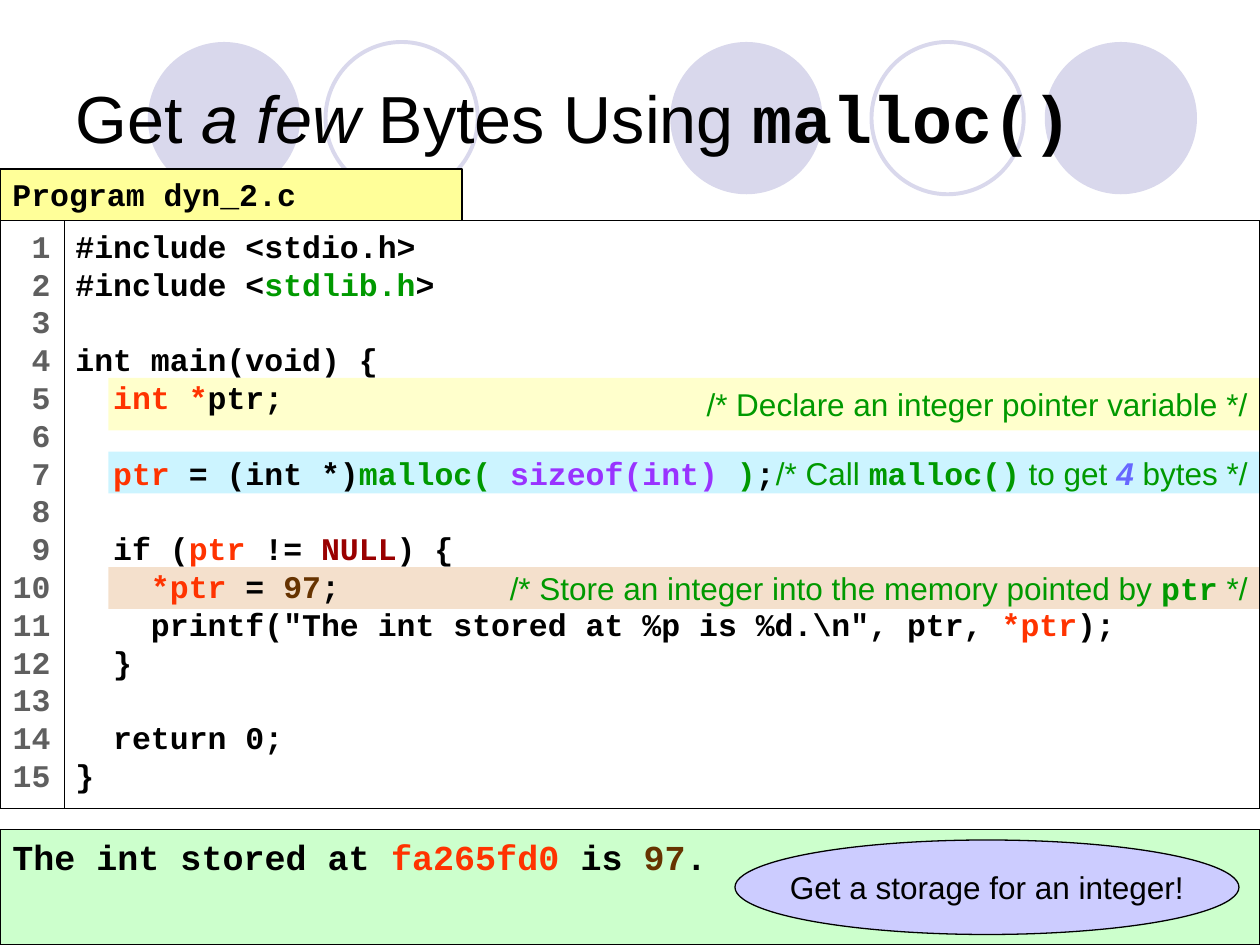
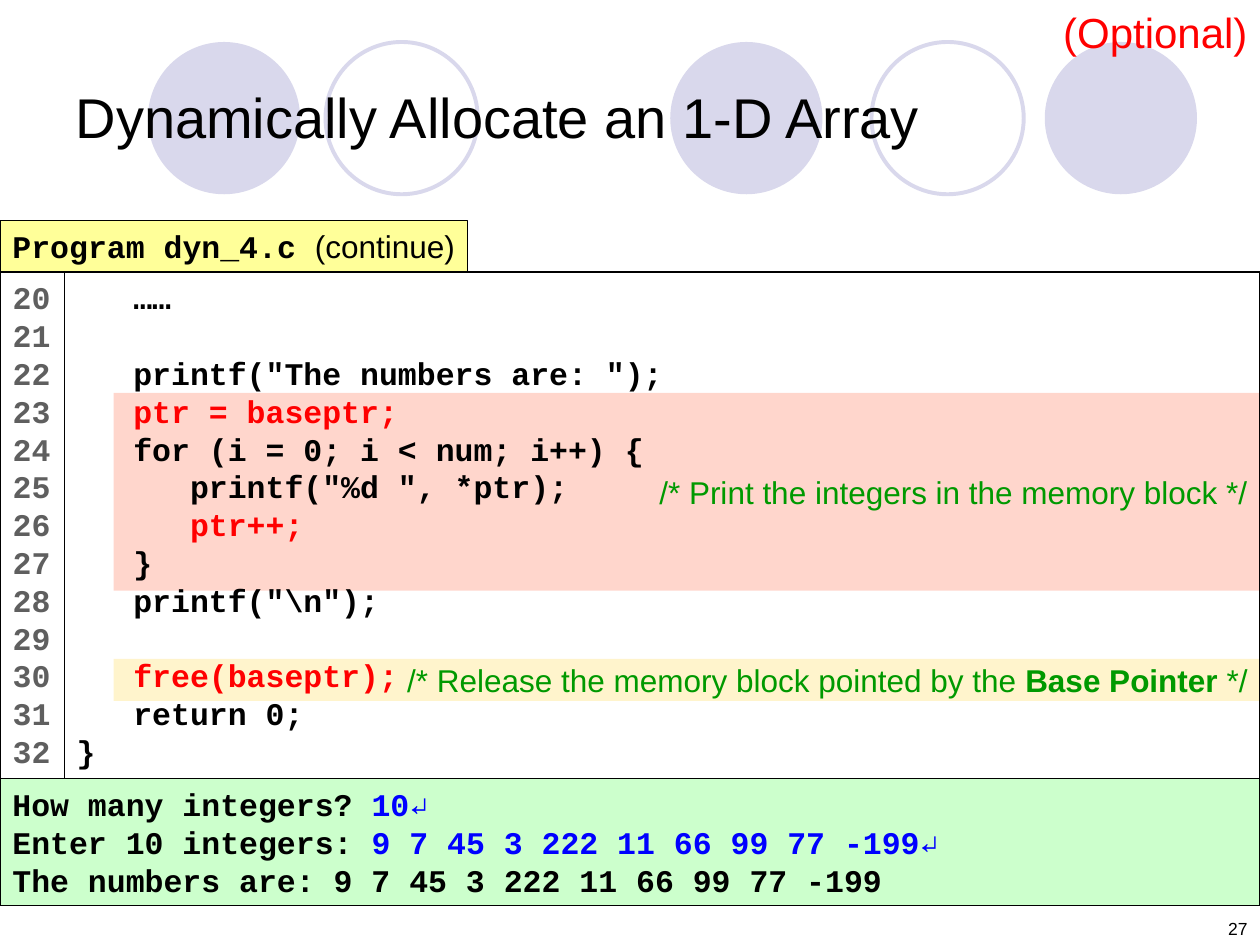
from lxml.etree import SubElement
from pptx import Presentation
from pptx.dml.color import RGBColor
from pptx.enum.shapes import MSO_SHAPE
from pptx.enum.text import MSO_ANCHOR, MSO_AUTO_SIZE, PP_ALIGN
from pptx.oxml.ns import qn
from pptx.util import Pt

COLOURS = {
    "white": "FFFFFF", "black": "000000", "disc": "D9D8EC", "label": "FFFF99",
    "output": "CCFFCC", "callout": "CCCCFF", "number": "5F5F5F",
    "comment": "009900", "pointer": "FF3300", "size": "9933FF",
    "null": "990000", "value": "663300", "count": "6767FF", "red": "FF0000",
    "input": "0000FF", "yellow": "FFFF00", "cyan": "00CCFF",
    "brown": "CC6600", "amber": "FFCC00",
}
SANS, MONO = "Arial", "Courier New"
STYLES = {
    "italic": {"italic": True},
    "mono": {"name": MONO, "bold": True},
    "sans": {"name": SANS, "bold": False},
    "bold": {"bold": True},
    "byte count": {"colour": "count", "bold": True, "italic": True},
}
SLIDE_WIDTH, SLIDE_HEIGHT = 720, 540
LABEL_HEIGHT = 29.5
GUTTER_WIDTH = 36.7


def rgb(colour):
    """Return the named colour."""
    return RGBColor.from_string(COLOURS[colour])


def set_font(font, colour=None, **settings):
    """Apply the given settings to a font."""
    if colour:
        font.color.rgb = rgb(colour)
    for setting, value in settings.items():
        setattr(font, setting, value)


def write(frame, lines, size=18, name=MONO, colour="black", bold=True,
          align=PP_ALIGN.LEFT, anchor=MSO_ANCHOR.TOP, wrap=True):
    """Fill a text frame; a line is a string or a list of styled pieces."""
    frame.word_wrap = wrap
    frame.auto_size = MSO_AUTO_SIZE.NONE
    frame.vertical_anchor = anchor
    for index, line in enumerate(lines):
        paragraph = frame.paragraphs[0] if index == 0 else frame.add_paragraph()
        paragraph.alignment = align
        set_font(paragraph.font, colour, size=Pt(size), name=name, bold=bold)
        if not line:
            ending = SubElement(paragraph._p, qn("a:endParaRPr"),
                                sz=str(size * 100), b=str(int(bold)))
            SubElement(ending, qn("a:latin"), typeface=name)
        for piece in [line] if isinstance(line, str) and line else line:
            text, style = (piece, None) if isinstance(piece, str) else piece
            run = paragraph.add_run()
            run.text = text
            if style:
                set_font(run.font, **STYLES.get(style, {"colour": style}))


def add_panel(slide, box, fill=None, line="black", weight=0.75,
              preset=MSO_SHAPE.RECTANGLE, alpha=None):
    """Add a flat shape with an optional fill, outline and opacity."""
    panel = slide.shapes.add_shape(preset, *map(Pt, box))
    panel.shadow.inherit = False
    if fill:
        panel.fill.solid()
        panel.fill.fore_color.rgb = rgb(fill)
    else:
        panel.fill.background()
    if alpha:
        colour = panel._element.spPr.find(qn("a:solidFill"))[0]
        SubElement(colour, qn("a:alpha"), val=str(alpha * 1000))
    if line:
        panel.line.color.rgb = rgb(line)
        panel.line.width = Pt(weight)
    else:
        panel.line.fill.background()
    return panel


def move_discs_to_layout(slide):
    """Draw the row of discs and rings and share it through the layout."""
    tree = slide.slide_layout.shapes._spTree
    for index, (left, solid) in enumerate(
            [(84.5, True), (186, False), (383, True), (498, False), (597, True)]):
        disc = add_panel(slide, (left, 24, 87, 87), "disc" if solid else None,
                         None if solid else "disc", 2.25, MSO_SHAPE.OVAL)
        disc._element.nvSpPr.cNvPr.set("id", str(20 + index))
        tree.insert(2 + index, disc._element)


def add_title(slide, pieces, size):
    """Place and format the slide title."""
    title = slide.shapes.title
    title.left, title.top, title.width, title.height = map(Pt, (36, 21.6, 648, 90))
    write(title.text_frame, [pieces], size, SANS, bold=False,
          anchor=MSO_ANCHOR.MIDDLE)


def add_program(slide, top, height, label, label_width, numbers, code,
                code_left, bands, band_left):
    """Add a file label above a numbered listing with commented bands."""
    listing_top = top + LABEL_HEIGHT
    for offset, band_height, fill, comment in bands:
        band = add_panel(slide, (band_left, listing_top + offset,
                                 SLIDE_WIDTH - band_left, band_height),
                         fill, None, alpha=20)
        write(band.text_frame, [comment], name=SANS, colour="comment",
              bold=False, align=PP_ALIGN.RIGHT, anchor=MSO_ANCHOR.MIDDLE)
    listing = add_panel(slide, (code_left, listing_top,
                                SLIDE_WIDTH - code_left, height))
    write(listing.text_frame, code)
    gutter = add_panel(slide, (0, listing_top, GUTTER_WIDTH, height), "white")
    gutter.text_frame.margin_left = 0
    gutter.text_frame.margin_right = Pt(7.9)
    write(gutter.text_frame, [str(number) for number in numbers],
          colour="number", align=PP_ALIGN.RIGHT)
    tab = add_panel(slide, (0, top, label_width, LABEL_HEIGHT), "label")
    tab.text_frame.margin_right = 0
    write(tab.text_frame, [label])


def add_output(slide, top, height, lines, size):
    """Add the program output across the slide."""
    output = add_panel(slide, (0, top, SLIDE_WIDTH, height), "output")
    write(output.text_frame, lines, size)


def add_note(slide, box, text, size, colour, align, anchor=MSO_ANCHOR.TOP):
    """Add a plain text note."""
    note = slide.shapes.add_textbox(*map(Pt, box))
    write(note.text_frame, [text], size, SANS, colour, False, align, anchor)


def build_malloc(slide):
    """Build the slide on storage for one integer."""
    add_title(slide, ["Get ", ("a few", "italic"), " Bytes Using ",
                      ("malloc()", "mono")], 38)
    code = [
        "#include <stdio.h>",
        ["#include <", ("stdlib.h", "comment"), ">"],
        "",
        "int main(void) {",
        [("  int *", "pointer"), "ptr;"],
        "",
        [("  ptr", "pointer"), " = (int *)", ("malloc( ", "comment"),
         ("sizeof(int) ", "size"), (")", "comment"), ";"],
        "",
        ["  if (", ("ptr", "pointer"), " != ", ("NULL", "null"), ") {"],
        ["    ", ("*ptr", "pointer"), " = ", ("97", "value"), ";"],
        ['    printf("The int stored at %p is %d.\\n", ptr, ',
         ("*ptr", "pointer"), ");"],
        "  }",
        "",
        "  return 0;",
        "}",
    ]
    bands = [
        (90, 30, "yellow", "/* Declare an integer pointer variable */"),
        (132, 24, "cyan", ["/* Call ", ("malloc()", "mono"), " to get ",
                           ("4", "byte count"), " bytes */"]),
        (198, 24, "brown", ["/* Store an integer into the memory pointed by ",
                            ("ptr", "mono"), " */"]),
    ]
    add_program(slide, 96.5, 336, "Program dyn_2.c", 264, range(1, 16),
                code, 36, bands, 62)
    add_output(slide, 474, 66,
               [["The int stored at ", ("fa265fd0", "pointer"), " is ",
                 ("97", "value"), "."]], 20)
    callout = add_panel(slide, (420, 480, 288, 54), "callout",
                        preset=MSO_SHAPE.OVAL)
    write(callout.text_frame, ["Get a storage for an integer!"], name=SANS,
          bold=False, align=PP_ALIGN.CENTER, anchor=MSO_ANCHOR.MIDDLE,
          wrap=False)


def build_array(slide):
    """Build the slide on printing and freeing an array."""
    add_title(slide, "Dynamically Allocate an 1-D Array", 32)
    code = [
        "   ……",
        "",
        '   printf("The numbers are: ");',
        [("   ptr = baseptr;", "red")],
        "   for (i = 0; i < num; i++) {",
        '      printf("%d ", *ptr);',
        [("      ptr++;", "red")],
        "   }",
        '   printf("\\n");',
        "",
        [("   free(baseptr);", "red")],
        "   return 0;",
        "}",
    ]
    bands = [
        (69, 113, "pointer", "/* Print the integers in the memory block */"),
        (221, 24, "amber", ["/* Release the memory block pointed by the ",
                            ("Base Pointer", "bold"), " */"]),
    ]
    add_program(slide, 126, 289.5, ["Program dyn_4.c ", ("(continue)", "sans")],
                267, range(20, 33), code, GUTTER_WIDTH, bands, 65)
    add_output(slide, 445, 72.5, [
        ["How many integers? ", ("10↵", "input")],
        ["Enter 10 integers: ", ("9 7 45 3 222 11 66 99 77 -199↵", "input")],
        "The numbers are: 9 7 45 3 222 11 66 99 77 -199",
    ], 18)
    add_note(slide, (590, 0, 130, 36), "(Optional)", 24, "red", PP_ALIGN.RIGHT)
    add_note(slide, (552, 504, 168, 36), "27", 10, "black", PP_ALIGN.RIGHT,
             MSO_ANCHOR.BOTTOM)


def main():
    """Build and save the presentation."""
    presentation = Presentation()
    presentation.slide_width = Pt(SLIDE_WIDTH)
    presentation.slide_height = Pt(SLIDE_HEIGHT)
    title_only = presentation.slide_layouts[5]
    malloc_slide = presentation.slides.add_slide(title_only)
    move_discs_to_layout(malloc_slide)
    build_malloc(malloc_slide)
    build_array(presentation.slides.add_slide(title_only))
    presentation.save("out.pptx")


if __name__ == "__main__":
    main()
